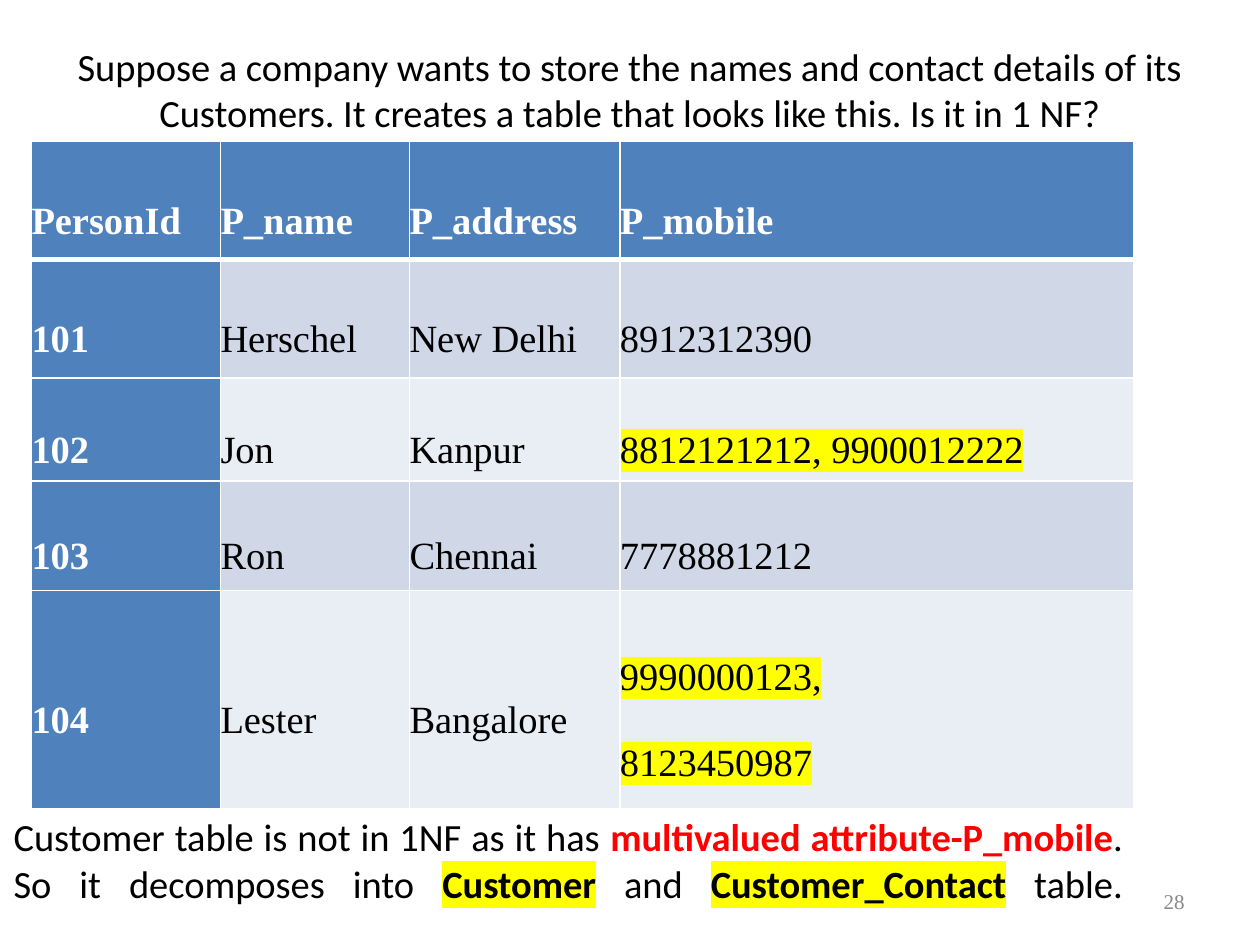
import pptx
import pptx.util
import pptx.dml.color
import pptx.enum.text
import pptx.oxml
import pptx.oxml.ns

Inches = pptx.util.Inches
Pt = pptx.util.Pt
RGB = pptx.dml.color.RGBColor.from_string
ALIGN = pptx.enum.text.PP_ALIGN
MIDDLE = pptx.enum.text.MSO_ANCHOR.MIDDLE
NS = pptx.oxml.ns.nsdecls("a")
COLORS = {
    "black": "000000", "white": "FFFFFF", "red": "FF0000", "gray": "898989",
    "yellow": "FFFF00", "blue": "4F81BD", "dark": "D0D8E8", "light": "E9EDF4",
}


def write(para, text, font="Calibri", size=22, color="black", bold=False, mark=None):
    run = para.add_run()
    run.text = text
    run.font.size = Pt(size)
    run.font.bold = bold
    run.font.color.rgb = RGB(COLORS[color])
    if mark:
        run.font._element.append(pptx.oxml.parse_xml(
            f'<a:highlight {NS}><a:srgbClr val="{COLORS[mark]}"/></a:highlight>'))
    run.font.name = font


def border(cell, widths):
    props = cell._tc.get_or_add_tcPr()
    for i, (side, width) in enumerate(zip("LRTB", widths)):
        props.insert(i, pptx.oxml.parse_xml(
            f'<a:ln{side} {NS} w="{Pt(width)}"><a:solidFill>'
            f'<a:srgbClr val="{COLORS["white"]}"/></a:solidFill></a:ln{side}>'))


deck = pptx.Presentation()
deck.slide_width, deck.slide_height = Inches(10), Inches(7.5)
slide = deck.slides.add_slide(deck.slide_layouts[5])

title = slide.shapes.title
title.left, title.top = Inches(0), Inches(0.08)
title.width, title.height = Inches(10), Inches(1.25)
title.text_frame.vertical_anchor = MIDDLE
para = title.text_frame.paragraphs[0]
para.alignment = ALIGN.CENTER
write(para, "Suppose a company wants to store the names and contact details of its "
            "Customers. It creates a table that looks like this. Is it in 1 NF?")

rows = [
    ["PersonId", "P_name", "P_address", "P_mobile"],
    ["101", "Herschel", "New Delhi", "8912312390"],
    ["102", "Jon", "Kanpur", "8812121212, 9900012222"],
    ["103", "Ron", "Chennai", "7778881212"],
    ["104", "Lester", "Bangalore", "9990000123,\n8123450987"],
]
widths = [1.5, 1.5, 1.67, 4.08]
heights = [0.94, 0.94, 0.49, 0.87, 1.73]
table = slide.shapes.add_table(
    len(rows), len(widths), Inches(0.25), Inches(1.12),
    Inches(sum(widths)), Inches(sum(heights))).table
table.first_col = True
for col, width in zip(table.columns, widths):
    col.width = Inches(width)
for r, (row, height) in enumerate(zip(rows, heights)):
    table.rows[r].height = Inches(height)
    for c, text in enumerate(row):
        cell = table.cell(r, c)
        head = r == 0 or c == 0
        cell.margin_left = cell.margin_right = 0
        cell.margin_top = cell.margin_bottom = Inches(0.07)
        cell.vertical_anchor = MIDDLE
        cell.fill.solid()
        fill = "blue" if head else "dark" if r % 2 else "light"
        cell.fill.fore_color.rgb = RGB(COLORS[fill])
        border(cell, [1, 1, 3 if r == 1 else 1, 3 if r == 0 else 1])
        for i, line in enumerate(text.split("\n")):
            frame = cell.text_frame
            para = frame.add_paragraph() if i else frame.paragraphs[0]
            para.line_spacing = 2.0
            if r < 3:
                para.space_after = Pt(30)
            write(para, line, font="Times New Roman", bold=head,
                  color="white" if head else "black",
                  mark="yellow" if "," in text else None)

page = slide.shapes.add_textbox(Inches(7.17), Inches(6.95), Inches(2.33), Inches(0.4))
page.text_frame.word_wrap = True
page.text_frame.vertical_anchor = MIDDLE
para = page.text_frame.paragraphs[0]
para.alignment = ALIGN.RIGHT
write(para, "28", font="Times New Roman", size=12, color="gray")

note = slide.shapes.add_textbox(Inches(0.01), Inches(6.38), Inches(9), Inches(1.25))
note.text_frame.word_wrap = True
note.text_frame.vertical_anchor = MIDDLE
para = note.text_frame.paragraphs[0]
para.alignment = ALIGN.JUSTIFY
write(para, "Customer table is not in 1NF as it has ")
write(para, "multivalued attribute-P_mobile", color="red", bold=True)
write(para, ".")
para.add_line_break()
write(para, "So it decomposes into ")
write(para, "Customer", bold=True, mark="yellow")
write(para, " and ")
write(para, "Customer_Contact", bold=True, mark="yellow")
write(para, " table.")
para.add_line_break()
para._p.get_or_add_endParaRPr().set("sz", "2200")

deck.save("out.pptx")
